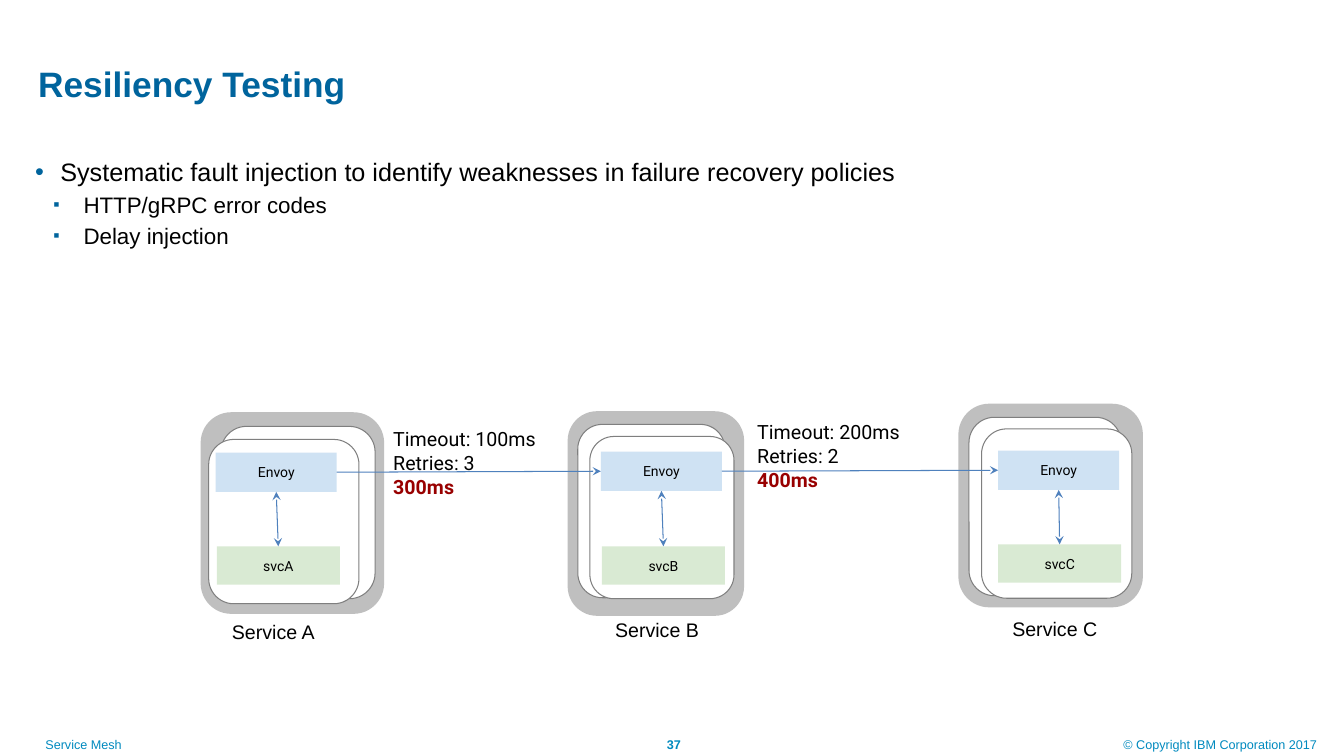
"""Build the Resiliency Testing slide."""
import lxml.etree
import pptx
import pptx.dml.color
import pptx.enum.shapes
import pptx.enum.text
import pptx.oxml.ns
import pptx.util

Inches = pptx.util.Inches
Pt = pptx.util.Pt
qn = pptx.oxml.ns.qn
SHAPE = pptx.enum.shapes.MSO_SHAPE
ALIGN = pptx.enum.text.PP_ALIGN
ANCHOR = pptx.enum.text.MSO_ANCHOR
COLORS = {
    "title": "00649D", "footer": "008ABF", "text": "000000", "alert": "980000",
    "pod": "BFBFBF", "card": "FFFFFF", "border": "7F7F7F",
    "service": "D9EAD3", "proxy": "CFE2F3", "arrow": "4F81BD",
}


def rgb(name):
    return pptx.dml.color.RGBColor.from_string(COLORS[name])


class Deck:
    def __init__(self, prs):
        self.s = prs.slides.add_slide(prs.slide_layouts[6])

    def add_line(self, p, text, size, color="text", font="Arial", bold=False, **fmt):
        for name, value in fmt.items():
            setattr(p, name, value)
        r = p.add_run()
        r.text = text
        for name, value in {"size": Pt(size), "name": font, "bold": bold}.items():
            setattr(r.font, name, value)
        r.font.color.rgb = rgb(color)

    def frame(self, sp, insets, anchor=ANCHOR.TOP):
        tf = sp.text_frame
        sides = ("margin_left", "margin_top", "margin_right", "margin_bottom")
        fmt = dict(zip(sides, map(Inches, insets)), word_wrap=True, vertical_anchor=anchor)
        for name, value in fmt.items():
            setattr(tf, name, value)
        return tf

    def text(self, at, lines, insets=(0, 0, 0, 0), anchor=ANCHOR.TOP):
        tf = self.frame(self.s.shapes.add_textbox(*map(Inches, at)), insets, anchor)
        for i, line in enumerate(lines):
            p = tf.add_paragraph() if i else tf.paragraphs[0]
            bullet = line.pop("bullet", None)
            if bullet:
                self.bullet(p, **bullet)
            self.add_line(p, **line)

    def bullet(self, p, char, left, hang, percent):
        pPr = p._p.get_or_add_pPr()
        pPr.set("marL", str(Inches(left)))
        pPr.set("indent", str(-Inches(hang)))
        color = lxml.etree.SubElement(pPr, qn("a:buClr"))
        lxml.etree.SubElement(color, qn("a:srgbClr"), val=COLORS["title"])
        lxml.etree.SubElement(pPr, qn("a:buSzPct"), val=str(percent * 1000))
        lxml.etree.SubElement(pPr, qn("a:buFont"), typeface="Arial")
        lxml.etree.SubElement(pPr, qn("a:buChar"), char=char)

    def shape(self, kind, at, fill, border=None):
        sp = self.s.shapes.add_shape(kind, *map(Inches, at))
        sp.shadow.inherit = False
        sp.fill.solid()
        sp.fill.fore_color.rgb = rgb(fill)
        if border:
            sp.line.color.rgb = rgb(border)
            sp.line.width = Pt(0.75)
        else:
            sp.line.fill.background()
        return sp

    def rounded(self, at, fill, border=None):
        self.shape(SHAPE.ROUNDED_RECTANGLE, at, fill, border).rotation = 90

    def box(self, at, fill, label):
        sp = self.shape(SHAPE.RECTANGLE, at, fill)
        tf = self.frame(sp, [0.04] * 4, ANCHOR.MIDDLE)
        self.add_line(tf.paragraphs[0], label, 10, font="Roboto", alignment=ALIGN.CENTER)
        return sp

    def arrow(self, start, start_side, end, end_side, ends=("tailEnd",)):
        c = self.s.shapes.add_connector(pptx.enum.shapes.MSO_CONNECTOR.STRAIGHT, 0, 0, 0, 0)
        c.begin_connect(start, start_side)
        c.end_connect(end, end_side)
        c.line.color.rgb = rgb("arrow")
        c.line.width = Pt(0.75)
        spPr = c._element.spPr
        for name in ends:
            lxml.etree.SubElement(spPr.find(qn("a:ln")), qn("a:" + name), type="stealth")
        lxml.etree.SubElement(spPr, qn("a:effectLst"))

    def service(self, letter, pod, cards, proxy_at, svc_at, label_at):
        self.rounded(pod, "pod")
        for card in cards:
            self.rounded(card, "card", "border")
        svc = self.box((*svc_at, 1.22, 0.38), "service", "svc" + letter)
        proxy = self.box((*proxy_at, 1.2, 0.39), "proxy", "Envoy")
        self.arrow(proxy, 2, svc, 0, ("headEnd", "tailEnd"))
        self.text((*label_at, 1.01, 0.35), [dict(text="Service " + letter, size=14)], [0.06] * 4)
        return proxy

    def policy(self, left, top, timeout, retries, total):
        style = dict(size=14, font="Roboto")
        self.text((left, top, 2.15, 0.98), [
            dict(text=f"Timeout: {timeout}ms", **style),
            dict(text=f"Retries: {retries}", **style),
            dict(text=f"{total}ms", color="alert", bold=True, **style),
        ], [0.13] * 4)


def main():
    prs = pptx.Presentation()
    prs.slide_width, prs.slide_height = Inches(13.33), Inches(7.5)
    deck = Deck(prs)

    deck.text((0.28, 0.6, 12.9, 0.5), [
        dict(text="Resiliency Testing", size=25.2, color="title", bold=True, line_spacing=0.9),
    ], (0.1, 0, 0, 0), ANCHOR.MIDDLE)

    topic = dict(char="•", left=0.25, hang=0.25, percent=100)
    detail = dict(char="▪", left=0.48, hang=0.3, percent=80)
    deck.text((0.25, 1.53, 12.45, 4.73), [
        dict(text="Systematic fault injection to identify weaknesses in failure recovery policies",
             size=18, bullet=topic),
        *(dict(text=text, size=16, bullet=detail, level=1, space_before=Pt(3))
          for text in ("HTTP/gRPC error codes", "Delay injection")),
    ], (0.1, 0.02, 0, 0))

    services = [
        ("A", (1.9, 4.18, 2, 1.82), [(2.1, 4.32, 1.71, 1.53), (2, 4.43, 1.63, 1.49)],
         (2.14, 4.49), (2.15, 5.42), (2.24, 6.09)),
        ("B", (5.49, 4.22, 2.03, 1.75), [(5.6, 4.34, 1.72, 1.46), (5.76, 4.42, 1.61, 1.43)],
         (5.96, 4.48), (5.97, 5.42), (6.04, 6.07)),
        ("C", (9.41, 4.1, 2.02, 1.83), [(9.48, 4.27, 1.77, 1.51), (9.64, 4.35, 1.68, 1.49)],
         (9.9, 4.47), (9.9, 5.4), (9.98, 6.06)),
    ]
    proxies = [deck.service(*service) for service in services]
    for caller, callee in zip(proxies, proxies[1:]):
        deck.arrow(caller, 3, callee, 1)

    deck.policy(3.77, 4.11, 100, 3, 300)
    deck.policy(7.38, 4.04, 200, 2, 400)

    footer = dict(size=9, color="footer")
    deck.text((0.45, 7.31, 5.52, 0.15), [dict(text="Service Mesh", **footer)])
    deck.text((6.1, 7.31, 1.21, 0.18), [
        dict(text="37", bold=True, alignment=ALIGN.CENTER, **footer),
    ], (0, 0, 0.04, 0.04))
    deck.text((11.06, 7.31, 2.1, 0.19), [
        dict(text="© Copyright IBM Corporation 2017", alignment=ALIGN.RIGHT, **footer),
    ], (0, 0, 0.1, 0))
    prs.save("out.pptx")


if __name__ == "__main__":
    main()
